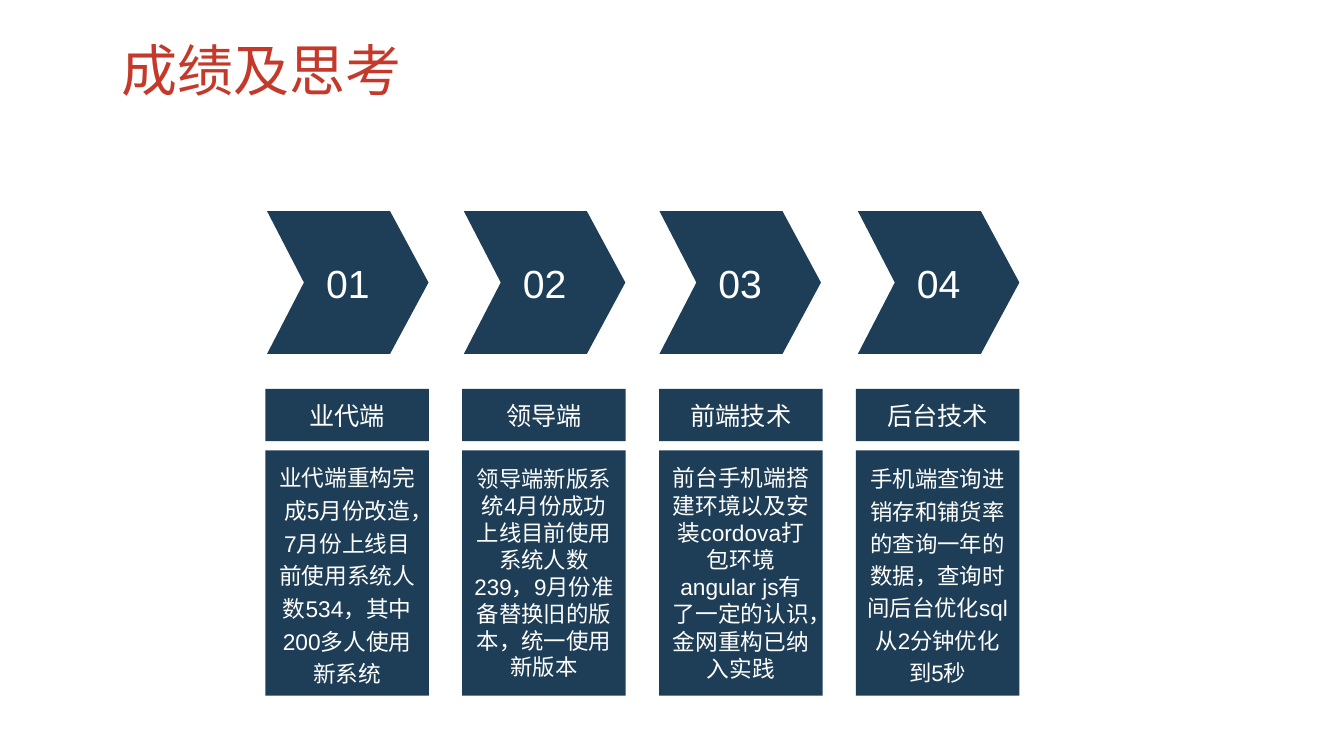
from dataclasses import dataclass

from pptx import Presentation, util as u
from pptx.dml.color import RGBColor
from pptx.enum import shapes, text

NAVY = RGBColor(0x1E, 0x3E, 0x57)
RED = RGBColor(0xC5, 0x39, 0x2B)
WHITE = RGBColor(0xFF, 0xFF, 0xFF)

CARD_LEFT, CARD_PITCH, CARD_WIDTH = 6.69, 4.96, 4.12
HEADING_TOP, HEADING_HEIGHT = 9.8, 1.32
BODY_TOP, BODY_HEIGHT = 11.35, 6.18
CHEVRON_TOP = 5.32
CHEVRON_OUTLINE = [(0, 0), (3.1, 0), (4.07, 1.8), (3.1, 3.6), (0, 3.6), (0.93, 1.8)]


@dataclass(frozen=True)
class Achievement:
    chevron_left: float
    heading: str
    body: tuple[str, ...]
    size: float = 16
    line_spacing: float = 1.0


ACHIEVEMENTS = [
    Achievement(6.73, "业代端",
                ("业代端重构完成5月份改造，7月份上线目前使用系统人数534，其中200多人使用新系统",),
                16.2, 1.2),
    Achievement(11.69, "领导端",
                ("领导端新版系统4月份成功上线目前使用系统人数239，9月份准备替换旧的版本，统一使用新版本",)),
    Achievement(16.62, "前端技术",
                ("前台手机端搭建环境以及安装cordova打包环境",
                 "angular js有了一定的认识，金网重构已纳入实践"), 16.2),
    Achievement(21.62, "后台技术",
                ("手机端查询进销存和铺货率的查询一年的数据，查询时间后台优化sql从2分钟优化到5秒",),
                line_spacing=1.2),
]


def write_text(shape, lines: tuple[str, ...], size: float, color: RGBColor = WHITE,
               alignment=text.PP_ALIGN.CENTER, line_spacing: float = 1.0) -> None:
    frame = shape.text_frame
    frame.word_wrap = True
    frame.vertical_anchor = text.MSO_ANCHOR.MIDDLE
    frame.text = "\n".join(lines)
    font_format = {"name": "Arial", "size": u.Pt(size)}
    for paragraph in frame.paragraphs:
        paragraph.alignment = alignment
        paragraph.line_spacing = line_spacing
        for run in paragraph.runs:
            for attribute, value in font_format.items():
                setattr(run.font, attribute, value)
            run.font.color.rgb = color


def paint(shape) -> None:
    shape.shadow.inherit = False
    shape.fill.solid()
    shape.fill.fore_color.rgb = NAVY
    shape.line.fill.background()


def add_title(slide, title: str) -> None:
    shape = slide.shapes.add_textbox(u.Cm(2.82), 0, u.Cm(28.24), u.Cm(3.68))
    write_text(shape, (title,), 40, RED, text.PP_ALIGN.LEFT, 0.9)


def add_chevron(slide, left: float, label: str) -> None:
    points = [(u.Cm(left + x), u.Cm(CHEVRON_TOP + y)) for x, y in CHEVRON_OUTLINE]
    builder = slide.shapes.build_freeform(*points[0])
    builder.add_line_segments(points[1:], close=True)
    shape = builder.convert_to_shape()
    paint(shape)
    write_text(shape, (label,), 28)


def add_panel(slide, left: float, top: float, height: float, lines: tuple[str, ...],
              size: float, line_spacing: float = 1.0) -> None:
    shape = slide.shapes.add_shape(shapes.MSO_SHAPE.RECTANGLE, u.Cm(left), u.Cm(top),
                                   u.Cm(CARD_WIDTH), u.Cm(height))
    paint(shape)
    write_text(shape, lines, size, line_spacing=line_spacing)


def main() -> None:
    presentation = Presentation()
    presentation.slide_width = u.Cm(33.87)
    presentation.slide_height = u.Cm(19.05)
    slide = presentation.slides.add_slide(presentation.slide_layouts[6])
    add_title(slide, "成绩及思考")
    for index, achievement in enumerate(ACHIEVEMENTS):
        left = CARD_LEFT + index * CARD_PITCH
        add_chevron(slide, achievement.chevron_left, f"{index + 1:02d}")
        add_panel(slide, left, BODY_TOP, BODY_HEIGHT, achievement.body,
                  achievement.size, achievement.line_spacing)
        add_panel(slide, left, HEADING_TOP, HEADING_HEIGHT, (achievement.heading,), 18)
    presentation.save("out.pptx")


if __name__ == "__main__":
    main()
